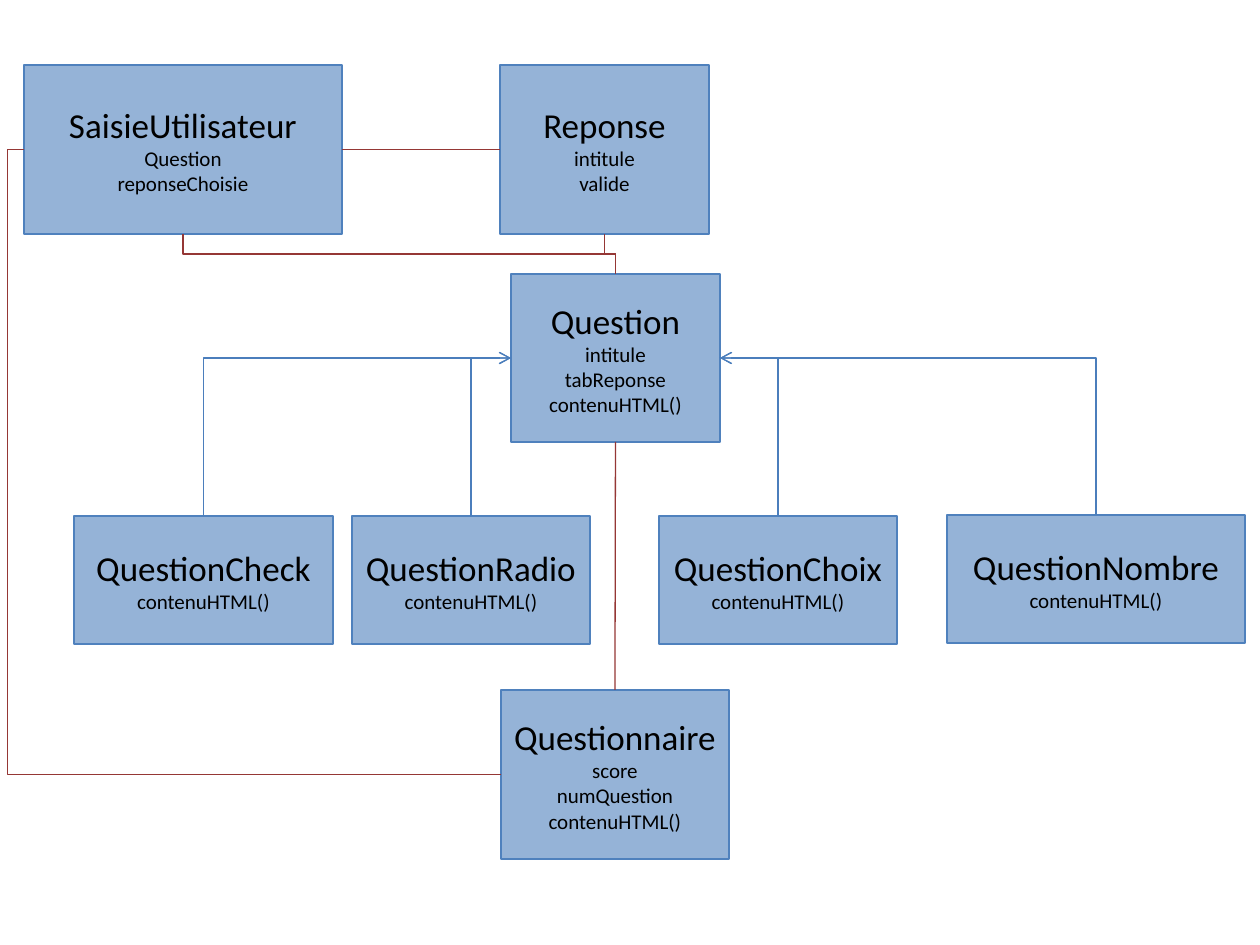
import pptx
import pptx.dml.color
import pptx.enum.shapes
import pptx.enum.text
import pptx.oxml
import pptx.oxml.ns
import pptx.util

SCALE = 914400 // 126
TOP, LEFT, BOTTOM, RIGHT = range(4)
BLUE, RED = "4B7EBC", "953735"


def px(length):
    """Turn whole pixels into EMU."""
    return pptx.util.Emu(length * SCALE)


def color(value):
    """Turn a hex string into a colour."""
    return pptx.dml.color.RGBColor.from_string(value)


def add_child(parent, tag, **attributes):
    """Append a DrawingML element with the given attributes."""
    child = pptx.oxml.parse_xml(f"<a:{tag} {pptx.oxml.ns.nsdecls('a')}/>")
    for name, value in attributes.items():
        child.set(name, value)
    parent.append(child)
    return child


def write_line(paragraph, text, size=12, font="Calibri", fill="000000"):
    """Write one centred line of text."""
    paragraph.alignment = pptx.enum.text.PP_ALIGN.CENTER
    run = paragraph.add_run()
    run.text = text
    run.font.size = pptx.util.Pt(size)
    run.font.name = font
    run.font.color.rgb = color(fill)


def draw_class(slide, box, name, members):
    """Draw a class rectangle with its name above its members."""
    shape = slide.shapes.add_shape(
        pptx.enum.shapes.MSO_SHAPE.RECTANGLE, *map(px, box))
    shape.shadow.inherit = False
    shape.fill.solid()
    shape.fill.fore_color.rgb = color("95B3D7")
    shape.line.color.rgb = color("4F81BD")
    shape.line.width = pptx.util.Pt(0.75)
    frame = shape.text_frame
    frame.word_wrap = False
    frame.vertical_anchor = pptx.enum.text.MSO_ANCHOR.MIDDLE
    write_line(frame.paragraphs[0], name, size=20)
    for member in members:
        write_line(frame.add_paragraph(), member)
    return shape


def link(slide, start, start_side, end, end_side, stroke=RED, kind="STRAIGHT", arrow=False):
    """Join the sides of two classes with a connector."""
    connector = slide.shapes.add_connector(
        pptx.enum.shapes.MSO_CONNECTOR[kind], 0, 0, 0, 0)
    connector.begin_connect(start, start_side)
    connector.end_connect(end, end_side)
    connector.line.color.rgb = color(stroke)
    connector.line.width = pptx.util.Pt(0.75)
    properties = connector._element.spPr
    if arrow:
        add_child(connector.line._get_or_add_ln(), "tailEnd", type="arrow")
    add_child(properties, "effectLst")
    return connector


def link_vertical(slide, *ends, preset="bentConnector3", **style):
    """Join two classes with an elbow that leaves its start vertically."""
    connector = link(slide, *ends, kind="ELBOW", **style)
    across = connector.end_x - connector.begin_x
    down = connector.end_y - connector.begin_y
    center_x = (connector.begin_x + connector.end_x) // 2
    center_y = (connector.begin_y + connector.end_y) // 2
    connector.width, connector.height = abs(down), abs(across)
    connector.left = center_x - abs(down) // 2
    connector.top = center_y - abs(across) // 2
    properties = connector._element.spPr
    transform = properties.find(pptx.oxml.ns.qn("a:xfrm"))
    transform.set("rot", str((90 if down > 0 else 270) * 60000))
    transform.set("flipH", "0")
    transform.set("flipV", "1" if (down > 0) == (across > 0) else "0")
    properties.find(pptx.oxml.ns.qn("a:prstGeom")).set("prst", preset)


def link_around_left(slide, start, end, bend):
    """Join two left sides with an elbow that passes through the given x."""
    connector = link(slide, start, LEFT, end, LEFT, kind="ELBOW")
    share = (px(bend) - connector.begin_x) / (connector.end_x - connector.begin_x)
    geometry = connector._element.spPr.find(pptx.oxml.ns.qn("a:prstGeom"))
    guides = geometry.find(pptx.oxml.ns.qn("a:avLst"))
    if guides is None:
        guides = add_child(geometry, "avLst")
    add_child(guides, "gd", name="adj1", fmla=f"val {round(share * 100000)}")


def draw_subclasses(slide, box, question):
    """Draw the kinds of question in a row and point each at its parent."""
    left, top, height = box
    subclasses = [
        ("QuestionCheck", 0, 0, 259, LEFT),
        ("QuestionRadio", 278, 0, 238, LEFT),
        ("QuestionChoix", 585, 0, 238, RIGHT),
        ("QuestionNombre", 873, -1, 298, RIGHT),
    ]
    for name, offset, rise, width, side in subclasses:
        shape = draw_class(slide, (left + offset, top + rise, width, height),
                           name, ["contenuHTML()"])
        link_vertical(slide, shape, TOP, question, side,
                      preset="bentConnector2", stroke=BLUE, arrow=True)


def draw_diagram(slide):
    """Draw the whole class diagram."""
    question = draw_class(slide, (511, 274, 209, 168), "Question",
                          ["intitule", "tabReponse", "contenuHTML()"])
    draw_subclasses(slide, (74, 516, 128), question)
    answer = draw_class(slide, (500, 65, 209, 169), "Reponse", ["intitule", "valide"])
    quiz = draw_class(slide, (501, 690, 228, 169), "Questionnaire",
                      ["score", "numQuestion", "contenuHTML()"])
    entry = draw_class(slide, (24, 65, 318, 169), "SaisieUtilisateur",
                       ["Question", "reponseChoisie"])
    link_vertical(slide, question, TOP, answer, BOTTOM)
    link(slide, quiz, TOP, question, BOTTOM)
    link(slide, entry, RIGHT, answer, LEFT)
    link_around_left(slide, entry, quiz, 8)
    link_vertical(slide, entry, BOTTOM, question, TOP)


def main():
    """Build and save the presentation."""
    presentation = pptx.Presentation()
    presentation.slide_width = px(1260)
    presentation.slide_height = px(945)
    draw_diagram(presentation.slides.add_slide(presentation.slide_layouts[6]))
    presentation.save("out.pptx")


if __name__ == "__main__":
    main()
